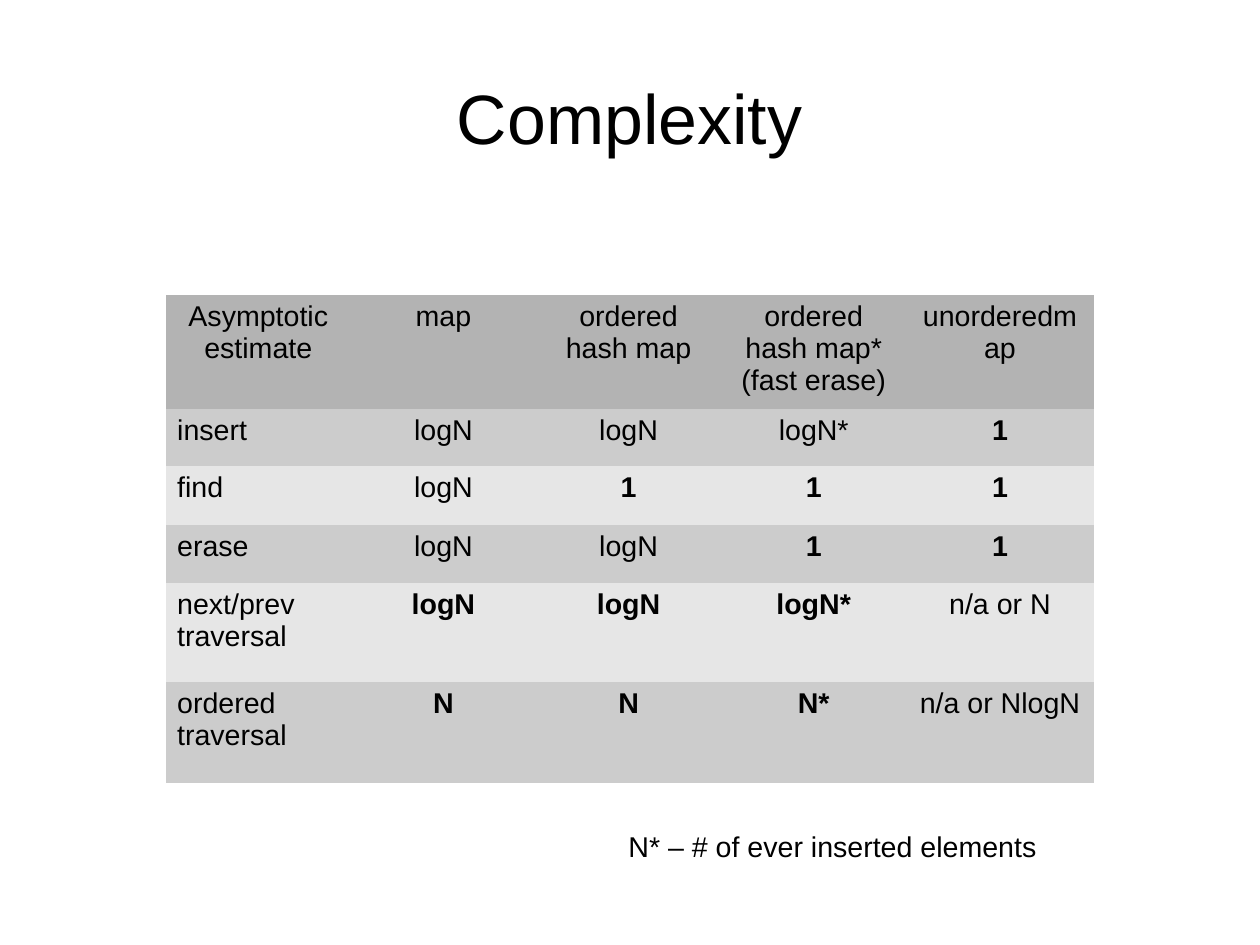
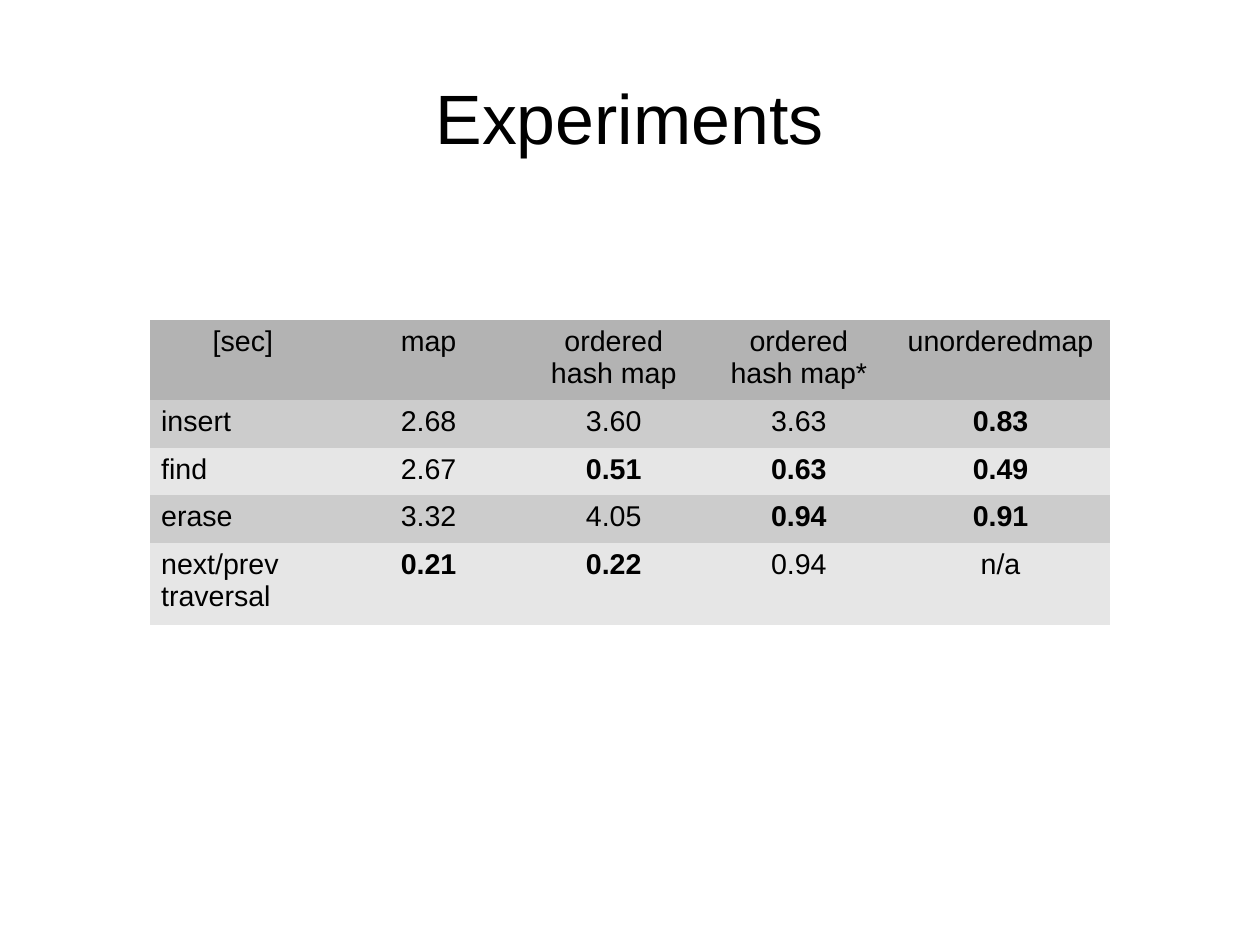
"""Build two slides that compare ordered and unordered maps in tables."""
from dataclasses import dataclass

from pptx import Presentation
from pptx.dml.color import RGBColor
from pptx.enum.text import MSO_ANCHOR, MSO_AUTO_SIZE, PP_ALIGN
from pptx.util import Cm, Inches, Pt

LEFT, CENTER, JUSTIFY = PP_ALIGN.LEFT, PP_ALIGN.CENTER, PP_ALIGN.JUSTIFY
MIDDLE = MSO_ANCHOR.MIDDLE
NO_FIT = MSO_AUTO_SIZE.NONE
FONT = "Arial"
PLAIN = "{2D5ABB26-0587-4C30-8999-92F81FD0307C}"
COLORS = {
    "text": "000000",
    "page": "FFFFFF",
    "head": "B3B3B3",
    "odd": "CCCCCC",
    "even": "E6E6E6",
}


@dataclass(frozen=True)
class Row:
    height: float
    cells: tuple[str, ...]
    bold: tuple[int, ...] = ()


@dataclass(frozen=True)
class Grid:
    left: float
    top: float
    widths: tuple[float, ...]
    rows: tuple[Row, ...]


COSTS = Grid(1.45, 2.58, (1.62, 1.62, 1.62, 1.62, 1.64), (
    Row(1.0, ("Asymptotic\nestimate", "map", "ordered hash map",
              "ordered hash map*\n(fast erase)", "unorderedmap")),
    Row(0.5, ("insert", "logN", "logN", "logN*", "1"), (4,)),
    Row(0.51, ("find", "logN", "1", "1", "1"), (2, 3, 4)),
    Row(0.51, ("erase", "logN", "logN", "1", "1"), (3, 4)),
    Row(0.87, ("next/prev\ntraversal", "logN", "logN", "logN*", "n/a or N"),
        (1, 2, 3)),
    Row(0.88, ("ordered traversal", "N", "N", "N*", "n/a or NlogN"),
        (1, 2, 3)),
))

TIMES = Grid(1.31, 2.8, (1.63, 1.62, 1.62, 1.62, 1.91), (
    Row(0.7, ("[sec]", "map", "ordered hash map", "ordered hash map*",
              "unorderedmap")),
    Row(0.42, ("insert", "2.68", "3.60", "3.63", "0.83"), (4,)),
    Row(0.41, ("find", "2.67", "0.51", "0.63", "0.49"), (2, 3, 4)),
    Row(0.42, ("erase", "3.32", "4.05", "0.94", "0.91"), (3, 4)),
    Row(0.72, ("next/prev traversal", "0.21", "0.22", "0.94", "n/a"), (1, 2)),
))


def color(name: str) -> RGBColor:
    return RGBColor.from_string(COLORS[name])


def write(frame, text: str, *, size: int = 18, bold: bool = False,
          align=CENTER) -> None:
    frame.word_wrap = True
    frame.text = text
    for para in frame.paragraphs:
        para.alignment = align
        for run in para.runs:
            font = run.font
            font.name, font.size, font.bold = FONT, Pt(size), bold
            font.color.rgb = color("text")


def add_slide(deck, title: str):
    slide = deck.slides.add_slide(deck.slide_layouts[5])
    fill = slide.background.fill
    fill.solid()
    fill.fore_color.rgb = color("page")
    shape = slide.shapes.title
    shape.left, shape.top = Inches(0.55), Inches(0.33)
    shape.width, shape.height = Inches(9.92), Inches(1.38)
    frame = shape.text_frame
    frame.margin_left = frame.margin_right = 0
    frame.margin_top = frame.margin_bottom = 0
    frame.vertical_anchor = MIDDLE
    frame.auto_size = NO_FIT
    write(frame, title, size=44)
    return slide


def add_grid(slide, grid: Grid) -> None:
    width = sum(grid.widths)
    height = sum(row.height for row in grid.rows)
    frame = slide.shapes.add_table(
        len(grid.rows), len(grid.widths), Inches(grid.left), Inches(grid.top),
        Inches(width), Inches(height))
    table = frame.table
    table.first_row = table.horz_banding = False
    style = next(frame.element.iter("{*}tableStyleId"))
    style.text = PLAIN
    for col, size in zip(table.columns, grid.widths):
        col.width = Inches(size)
    for i, row in enumerate(grid.rows):
        table.rows[i].height = Inches(row.height)
        shade = "head" if i == 0 else "odd" if i % 2 else "even"
        for j, text in enumerate(row.cells):
            cell = table.cell(i, j)
            cell.fill.solid()
            cell.fill.fore_color.rgb = color(shade)
            label = i > 0 and j == 0
            write(cell.text_frame, text, bold=j in row.bold,
                  align=JUSTIFY if label else CENTER)


def main() -> None:
    deck = Presentation()
    deck.slide_width, deck.slide_height = Cm(28), Cm(21)
    slide = add_slide(deck, "Complexity")
    add_grid(slide, COSTS)
    note = slide.shapes.add_textbox(
        Inches(5.4), Inches(7.2), Inches(4.4), Inches(0.5))
    write(note.text_frame, "N* – # of ever inserted elements", align=LEFT)
    add_grid(add_slide(deck, "Experiments"), TIMES)
    deck.save("out.pptx")


if __name__ == "__main__":
    main()
